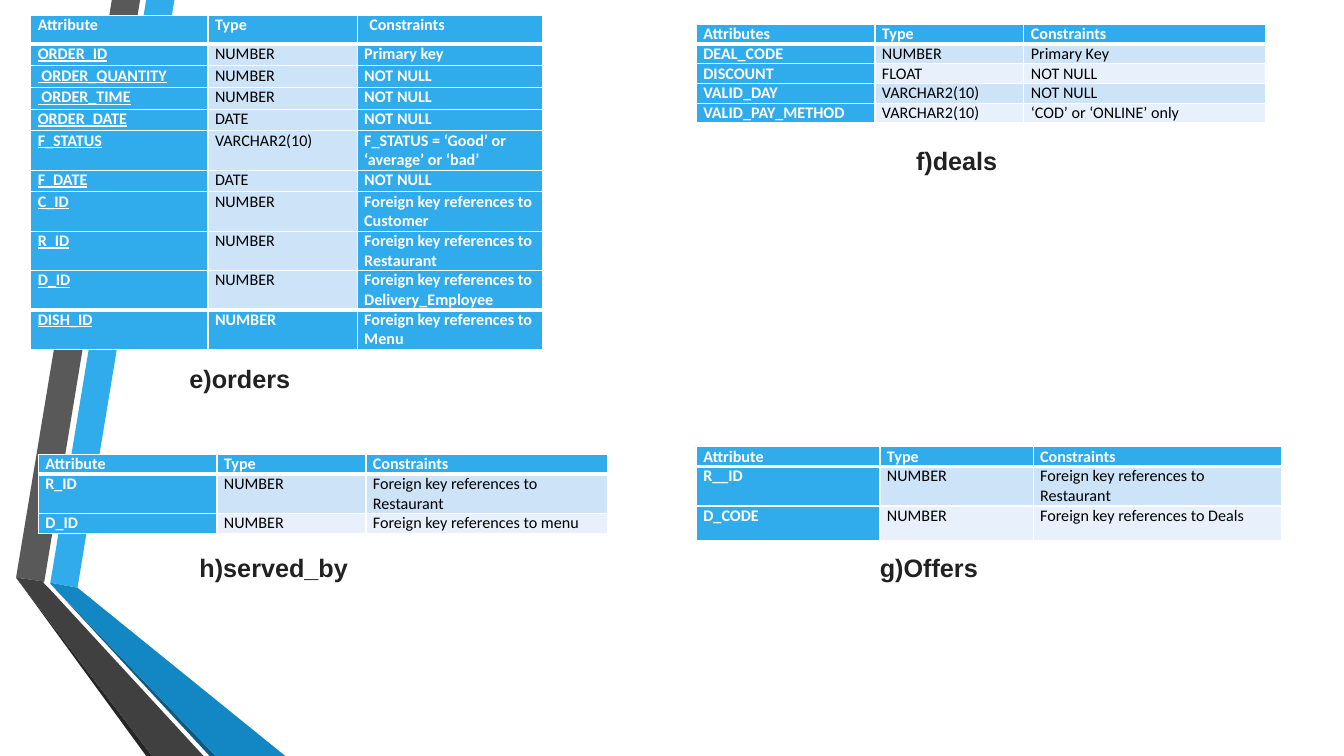
from dataclasses import dataclass

from lxml.etree import SubElement
from pptx import Presentation
from pptx.dml.color import RGBColor as RGB
from pptx.enum.text import MSO_AUTO_SIZE as AutoSize
from pptx.oxml.ns import qn
from pptx.util import Pt

# Content
HEADER = ("Attribute", "Type", "Constraints")
ORDERS = [
    HEADER,
    ("ORDER_ID", "NUMBER", "Primary key"),
    (" ORDER_QUANTITY", "NUMBER", "NOT NULL"),
    (" ORDER_TIME", "NUMBER", "NOT NULL"),
    ("ORDER_DATE", "DATE", "NOT NULL"),
    ("F_STATUS", "VARCHAR2(10)", "F_STATUS = ‘Good’ or ‘average’ or ‘bad’"),
    ("F_DATE", "DATE", "NOT NULL"),
    ("C_ID", "NUMBER", "Foreign key references to Customer"),
    ("R_ID", "NUMBER", "Foreign key references to Restaurant"),
    ("D_ID", "NUMBER", "Foreign key references to Delivery_Employee"),
    ("DISH_ID", "NUMBER", "Foreign key references to Menu"),
]
DEALS = [
    ("Attributes", "Type", "Constraints"),
    ("DEAL_CODE", "NUMBER", "Primary Key"),
    ("DISCOUNT", "FLOAT", "NOT NULL"),
    ("VALID_DAY", "VARCHAR2(10)", "NOT NULL"),
    ("VALID_PAY_METHOD", "VARCHAR2(10)", "‘COD’ or ‘ONLINE’ only"),
]
OFFERS = [
    HEADER,
    ("R__ID", "NUMBER", "Foreign key references to Restaurant"),
    ("D_CODE", "NUMBER", "Foreign key references to Deals"),
]
SERVED_BY = [
    HEADER,
    ("R_ID", "NUMBER", "Foreign key references to Restaurant"),
    ("D_ID", "NUMBER", "Foreign key references to menu"),
]

# Rows, left, top, column widths, row heights, whether it is the orders table
TABLES = [
    (ORDERS, 22, 11.2, (126.6, 106.6, 132.6),
     [20.4] + [15.5] * 4 + [28.1, 15.5] + [28.1] * 4, True),
    (DEALS, 497.4, 17.4, (127.6, 106.4, 172.8), [13.8] * 5, False),
    (OFFERS, 497.4, 319.2, (131.2, 109.4, 177.6), [12.4, 28.1, 24.5], False),
    (SERVED_BY, 27.4, 324.6, (127.6, 106.4, 172.8), [13.8, 28.1, 13.8], False),
]

# Caption, left, top, width
CAPTIONS = [
    ("e)orders", 128.2, 255.6, 87.1),
    ("f)deals", 647.3, 100.1, 73.4),
    ("g)Offers", 621.4, 391, 85),
    ("h)served_by", 135.4, 391, 121.7),
]


@dataclass(frozen=True)
class Theme:
    blue: str = "30ACEC"
    band_dark: str = "CDE3F8"
    band_light: str = "E8F1FB"
    white: str = "FFFFFF"
    black: str = "000000"
    caption: str = "212121"
    grey: str = "595959"
    grey_dark: str = "404040"
    grey_edge: str = "262626"
    blue_dark: str = "1287C3"
    blue_edge: str = "0C5A82"
    cell_font: str = "Calibri"
    cell_size: float = 11.5
    caption_font: str = "Arial"
    caption_size: float = 18


T = Theme()
INSET = 5
CAPTION_HEIGHT = 29

# Ribbon pieces, back to front
RIBBONS = [
    (T.blue, [(36, 416.2), (55.4, 419.8), (124.6, 0), (104.4, 0)]),
    (T.grey, [(100.1, 0), (79.9, 0), (11.5, 412.6), (31.7, 415.4)]),
    (T.grey_edge, [(11.5, 412.6), (104.4, 540), (108.7, 540)]),
    (T.blue_edge, [(36, 416.9), (149.8, 540), (154.1, 540)]),
    (T.blue_dark, [(36, 416.9), (154.1, 540), (203.8, 540), (55.4, 419.8), (36, 416.2)]),
    (T.grey_dark, [(145.4, 540), (34.6, 419.8), (31, 416.2), (31.7, 415.4),
                   (11.5, 412.6), (108.7, 540)]),
]


def add_run(p, text, font, size, color, bold=True, underline=False):
    r = p.add_run()
    r.text = text
    r.font.name, r.font.size = font, Pt(size)
    r.font.bold, r.font.underline = bold, underline
    r.font.color.rgb = RGB.from_string(color)


def set_borders(cell, top, bottom):
    tcPr = cell._tc.get_or_add_tcPr()
    for i, (side, width) in enumerate((("L", 1), ("R", 1), ("T", top), ("B", bottom))):
        ln = SubElement(tcPr, qn(f"a:ln{side}"), w=str(Pt(width)))
        SubElement(SubElement(ln, qn("a:solidFill")), qn("a:srgbClr"), val=T.white)
        tcPr.insert(i, ln)


def add_ribbons(s):
    group = s.shapes.add_group_shape()
    for color, points in RIBBONS:
        first, *rest = [(Pt(x), Pt(y)) for x, y in points]
        builder = group.shapes.build_freeform(*first)
        builder.add_line_segments(rest, close=True)
        sp = builder.convert_to_shape()
        sp.shadow.inherit = False
        sp.fill.solid()
        sp.fill.fore_color.rgb = RGB.from_string(color)
        sp.line.fill.background()


def add_attribute_table(s, rows, left, top, widths, heights, is_orders):
    table = s.shapes.add_table(len(rows), len(widths), Pt(left), Pt(top),
                               Pt(sum(widths)), Pt(sum(heights))).table
    for column, width in zip(table.columns, widths):
        column.width = Pt(width)
    last = len(rows) - 1
    # A thick rule follows the header, and precedes the last order row
    thick_above = {1, last} if is_orders else {1}
    for i, row in enumerate(rows):
        table.rows[i].height = Pt(heights[i])
        for j, text in enumerate(row):
            cell = table.cell(i, j)
            strong = i == 0 or j == 0 or (is_orders and (j == 2 or i == last))
            band = T.band_dark if is_orders or i % 2 else T.band_light
            cell.fill.solid()
            cell.fill.fore_color.rgb = RGB.from_string(T.blue if strong else band)
            set_borders(cell, 3 if i in thick_above else 1,
                        3 if i + 1 in thick_above else 1)
            cell.margin_top = cell.margin_bottom = 0
            cell.margin_left = cell.margin_right = 0 if is_orders else Pt(INSET)
            p = cell.text_frame.paragraphs[0]
            if is_orders:
                indent = 8.6 if (i, j) == (0, 2) else INSET
                p._p.get_or_add_pPr().set("marL", str(Pt(indent)))
                p.space_before = Pt(0.1)
            add_run(p, text, T.cell_font, T.cell_size, T.white if strong else T.black,
                    strong, is_orders and j == 0 and i > 0)


def add_caption(s, text, left, top, width):
    tf = s.shapes.add_textbox(Pt(left), Pt(top), Pt(width), Pt(CAPTION_HEIGHT)).text_frame
    tf.word_wrap = False
    tf.auto_size = AutoSize.SHAPE_TO_FIT_TEXT
    add_run(tf.paragraphs[0], text, T.caption_font, T.caption_size, T.caption)


def main():
    prs = Presentation()
    prs.slide_width, prs.slide_height = Pt(960), Pt(540)
    s = prs.slides.add_slide(prs.slide_layouts[6])
    add_ribbons(s)
    for spec in TABLES:
        add_attribute_table(s, *spec)
    for caption in CAPTIONS:
        add_caption(s, *caption)
    prs.save("out.pptx")


if __name__ == "__main__":
    main()
